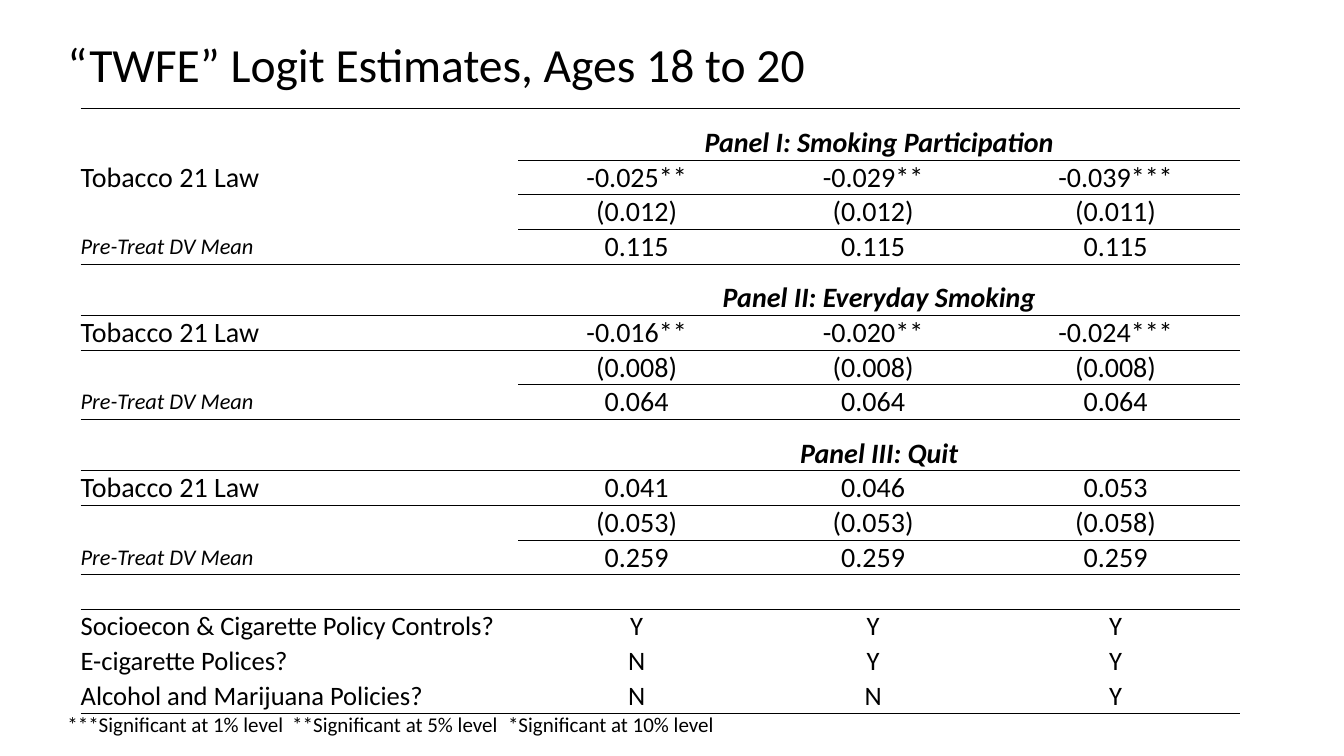
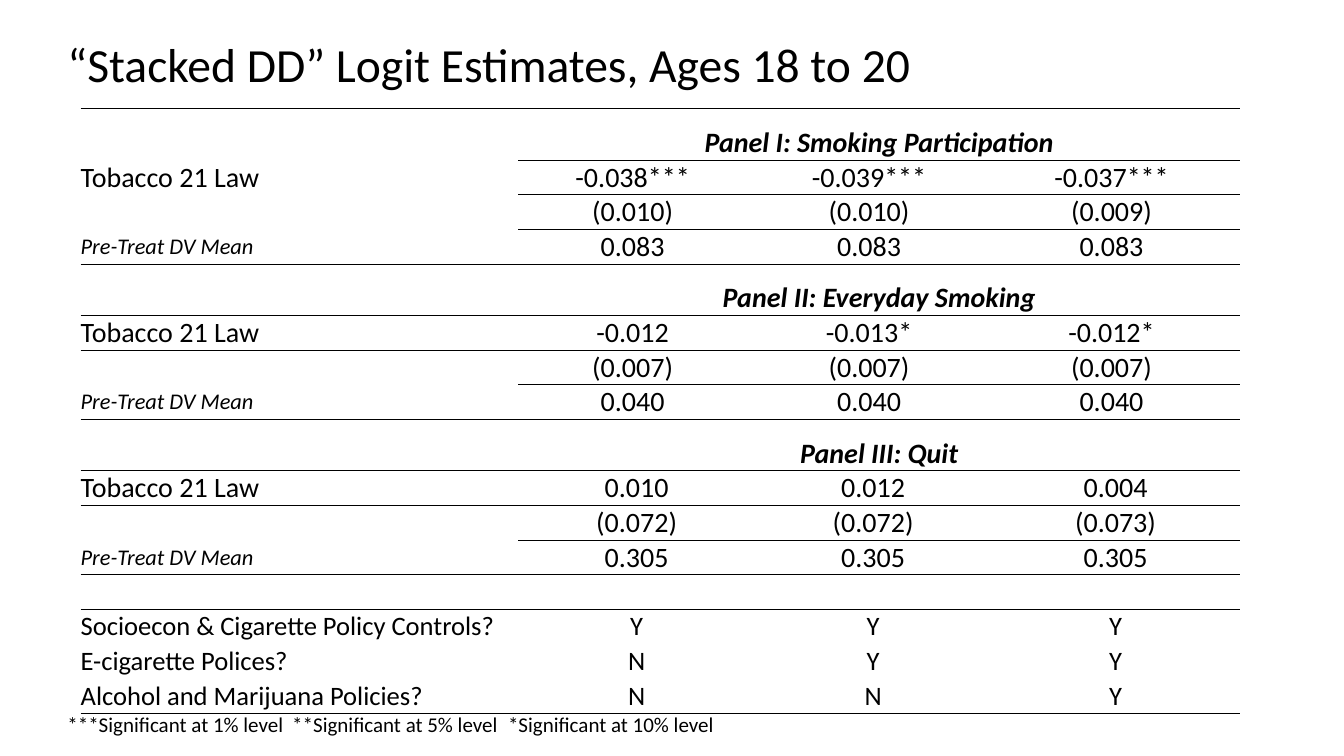
from lxml.etree import SubElement
from pptx import Presentation
from pptx.dml.color import RGBColor
from pptx.enum.text import MSO_ANCHOR as Anchor, PP_ALIGN as Align
from pptx.oxml.ns import qn
from pptx.util import Inches, Pt

COLORS = {"ink": "000000", "paper": "FFFFFF"}
FONT = "Calibri"
NO_GRID_STYLE = "{2D5ABB26-0587-4C30-8999-92F81FD0307C}"

PANEL_NAMES = [
    "Panel I: Smoking Participation",
    "Panel II: Everyday Smoking",
    "Panel III: Quit",
]
PANEL_LABELS = ["Tobacco 21 Law", "", "Pre-Treat DV Mean"]
CONTROLS = [
    ("Socioecon & Cigarette Policy Controls?", "Y", "Y", "Y"),
    ("E-cigarette Polices?", "N", "Y", "Y"),
    ("Alcohol and Marijuana Policies?", "N", "N", "Y"),
]
LEVELS = [
    "***Significant at 1% level",
    "**Significant at 5% level",
    "*Significant at 10% level",
]
LEVEL_STOPS = [2.23, 4.37]

SLIDES = [
    {
        "title": "“TWFE” Logit Estimates, Ages 18 to 20",
        "shifted_panels": 0,
        "panels": [
            [("-0.025**", "-0.029**", "-0.039***"),
             ("(0.012)", "(0.012)", "(0.011)"),
             ("0.115", "0.115", "0.115")],
            [("-0.016**", "-0.020**", "-0.024***"),
             ("(0.008)", "(0.008)", "(0.008)"),
             ("0.064", "0.064", "0.064")],
            [("0.041", "0.046", "0.053"),
             ("(0.053)", "(0.053)", "(0.058)"),
             ("0.259", "0.259", "0.259")],
        ],
    },
    {
        "title": "“Stacked DD” Logit Estimates, Ages 18 to 20",
        "shifted_panels": 2,
        "panels": [
            [("-0.038***", "-0.039***", "-0.037***"),
             ("(0.010)", "(0.010)", "(0.009)"),
             ("0.083", "0.083", "0.083")],
            [("-0.012", "-0.013*", "-0.012*"),
             ("(0.007)", "(0.007)", "(0.007)"),
             ("0.040", "0.040", "0.040")],
            [("0.010", "0.012", "0.004"),
             ("(0.072)", "(0.072)", "(0.073)"),
             ("0.305", "0.305", "0.305")],
        ],
    },
]

COLUMN_WIDTHS = [4.34, 2.35, 2.34, 2.47]
TABLE_LEFT, TABLE_TOP, TABLE_HEIGHT = 0.8, 1.08, 6.0
PANEL_ROW = 0.51
PANEL_SPAN = 1 + len(PANEL_LABELS)
PANEL_ROWS = [index * PANEL_SPAN for index in range(len(PANEL_NAMES))]
CONTROLS_START = len(PANEL_NAMES) * PANEL_SPAN + 1
ROW_COUNT = CONTROLS_START + len(CONTROLS)
BODY_ROW = (TABLE_HEIGHT - PANEL_ROW * len(PANEL_ROWS)) / (ROW_COUNT - len(PANEL_ROWS))
SHIFT = 0.08

RULE_STARTS = {ROW_COUNT: 0, CONTROLS_START - 1: 0}
for panel_row in PANEL_ROWS:
    RULE_STARTS.update({panel_row: 0, panel_row + 1: 0 if panel_row else 1, panel_row + 2: 1})


def write(frame, text, size=20, bold=False, italic=False, align=Align.LEFT, spacing=None, stops=()):
    para = frame.paragraphs[0]
    para.alignment = align
    if spacing:
        para.line_spacing = spacing
    if stops:
        tabs = SubElement(para._p.get_or_add_pPr(), qn("a:tabLst"))
        for stop in stops:
            SubElement(tabs, qn("a:tab"), pos=str(Inches(stop)), algn="l")
    span = para.add_run()
    span.text = text
    font = span.font
    font.name, font.size, font.bold, font.italic = FONT, Pt(size), bold, italic
    font.color.rgb = RGBColor.from_string(COLORS["ink"])


def add_box(page, left, top, width, height, text, anchor=Anchor.TOP, **style):
    box = page.shapes.add_textbox(Inches(left), Inches(top), Inches(width), Inches(height))
    box.text_frame.word_wrap = True
    box.text_frame.vertical_anchor = anchor
    write(box.text_frame, text, **style)


def add_rule(cell, side):
    line = SubElement(cell._tc.get_or_add_tcPr(), qn(f"a:{side}"), w=str(Pt(1)))
    fill = SubElement(line, qn("a:solidFill"))
    SubElement(fill, qn("a:srgbClr"), val=COLORS["ink"])


def prepare_cell(cell, row, column):
    cell.margin_left = cell.margin_right = cell.margin_top = cell.margin_bottom = 0
    cell.vertical_anchor = Anchor.MIDDLE
    for side, edge in (("lnT", row), ("lnB", row + 1)):
        if column >= RULE_STARTS.get(edge, len(COLUMN_WIDTHS)):
            add_rule(cell, side)
    cell.fill.background()


def fill_row(table, row, texts, label_size=20, label_italic=False, value_size=20, shift=0):
    for column, text in enumerate(texts):
        cell = table.cell(row, column)
        if column:
            cell.margin_right = Inches(shift)
            write(cell.text_frame, text, size=value_size, align=Align.CENTER)
        elif text:
            write(cell.text_frame, text, size=label_size, italic=label_italic)


def add_estimates(page, panels, shifted_panels):
    frame = page.shapes.add_table(
        ROW_COUNT, len(COLUMN_WIDTHS), Inches(TABLE_LEFT), Inches(TABLE_TOP),
        Inches(sum(COLUMN_WIDTHS)), Inches(TABLE_HEIGHT))
    frame.element.xpath(".//a:tableStyleId")[0].text = NO_GRID_STYLE
    table = frame.table
    table.first_row = table.horz_banding = False
    for column, width in enumerate(COLUMN_WIDTHS):
        table.columns[column].width = Inches(width)
    for row in range(ROW_COUNT):
        table.rows[row].height = Inches(PANEL_ROW if row in PANEL_ROWS else BODY_ROW)
        for column in range(len(COLUMN_WIDTHS)):
            prepare_cell(table.cell(row, column), row, column)

    for index, (start, name, values) in enumerate(zip(PANEL_ROWS, PANEL_NAMES, panels)):
        heading = table.cell(start, 1)
        heading.merge(table.cell(start, len(COLUMN_WIDTHS) - 1))
        heading.vertical_anchor = Anchor.BOTTOM
        write(heading.text_frame, name, bold=True, italic=True, align=Align.CENTER)
        shift = SHIFT if index < shifted_panels else 0
        for offset, (label, numbers) in enumerate(zip(PANEL_LABELS, values), 1):
            is_mean = offset == len(PANEL_LABELS)
            fill_row(table, start + offset, (label, *numbers), label_size=16 if is_mean else 20,
                     label_italic=is_mean, shift=shift)
    for row, texts in enumerate(CONTROLS, CONTROLS_START):
        fill_row(table, row, texts, label_size=19, value_size=19)


def main():
    deck = Presentation()
    deck.slide_width, deck.slide_height = Inches(13.33), Inches(7.5)
    for content in SLIDES:
        page = deck.slides.add_slide(deck.slide_layouts[6])
        page.background.fill.solid()
        page.background.fill.fore_color.rgb = RGBColor.from_string(COLORS["paper"])
        add_box(page, 0.57, 0.13, 11.5, 1.08, content["title"], anchor=Anchor.MIDDLE,
                size=34, spacing=0.9)
        add_estimates(page, content["panels"], content["shifted_panels"])
        add_box(page, 0.57, 7.01, 9.01, 0.35, "\t".join(LEVELS), size=15, stops=LEVEL_STOPS)
    deck.save("out.pptx")


if __name__ == "__main__":
    main()
